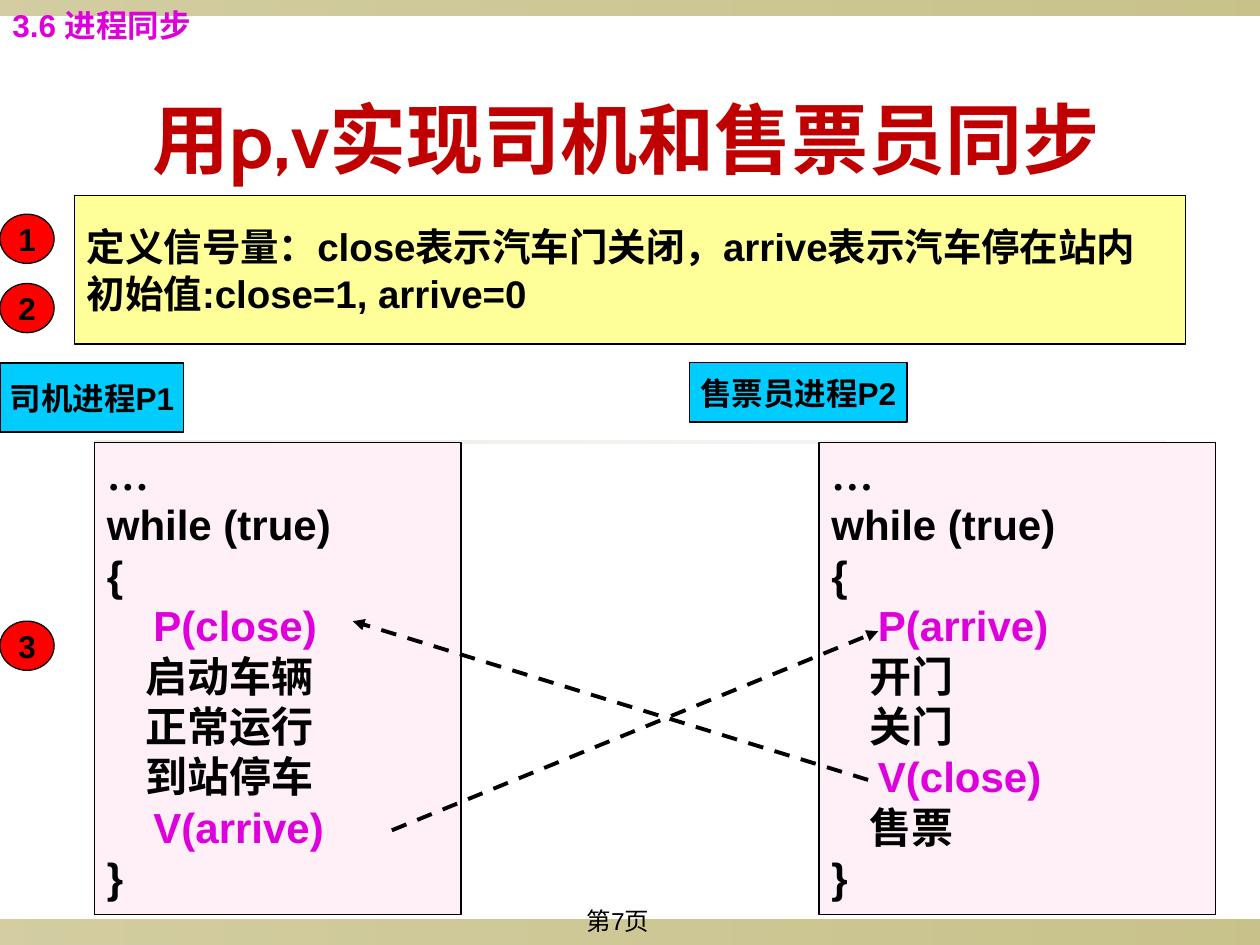
from dataclasses import dataclass

from lxml.etree import SubElement
from pptx import Presentation
from pptx.dml.color import RGBColor
from pptx.enum.dml import MSO_LINE_DASH_STYLE as DASH
from pptx.enum.shapes import MSO_CONNECTOR, MSO_SHAPE as SHAPE
from pptx.enum.text import MSO_ANCHOR as ANCHOR, MSO_AUTO_SIZE as AUTO, PP_ALIGN as ALIGN
from pptx.oxml.ns import qn
from pptx.util import Inches, Pt

COLORS = {
    "black": "000000", "title": "C00000", "magenta": "DD00DD", "code": "FFEFF7",
    "process": "00CCFF", "note": "FFFF99", "step": "FF0000",
    "band": "918415", "rule": "DCD9CC",
}
INDENT = "    "


@dataclass
class Band:
    top: float
    height: float
    left: float = 0
    width: float = 10
    color: str = "band"
    opacity: tuple[int, int] = (40, 50)


@dataclass
class Label:
    text: str
    box: tuple[float, float, float, float]
    fill: str | None = None
    size: int = 18
    color: str = "black"
    bold: bool = True
    align: ALIGN = ALIGN.CENTER
    kind: SHAPE = SHAPE.RECTANGLE
    wrap: bool = False


@dataclass
class Process:
    left: float
    width: float
    steps: list[str]


@dataclass
class Signal:
    """Dashed arrow from a V operation to the P operation it wakes."""
    start: tuple[float, float]
    end: tuple[float, float]


BANDS = [
    Band(7.3, 0.2),
    Band(0, 0.12),
    Band(3.5, 0.02, 0.75, 8.5, "rule", (50, 20)),
]
PROCESSES = [
    Process(0.75, 2.91, ["P(close)", "启动车辆", "正常运行", "到站停车", "V(arrive)"]),
    Process(6.5, 3.15, ["P(arrive)", "开门", "关门", "V(close)", "售票"]),
]
LABELS = [
    Label("第7页", (3.74, 7.14, 2.33, 0.36), size=14, bold=False, wrap=True),
    Label("司机进程P1", (0, 2.88, 1.46, 0.55), "process"),
    Label("售票员进程P2", (5.47, 2.88, 1.73, 0.47), "process"),
    Label("3.6 进程同步", (0, 0, 1.85, 0.4), color="magenta", align=ALIGN.LEFT, wrap=True),
    Label("定义信号量：close表示汽车门关闭，arrive表示汽车停在站内\n初始值:close=1, arrive=0",
          (0.59, 1.55, 8.82, 1.18), "note", 22, align=ALIGN.LEFT),
    *(Label(str(n), (0, top, 0.43, 0.39), "step", kind=SHAPE.OVAL)
      for n, top in enumerate((1.7, 2.25, 4.93), start=1)),
]
SIGNALS = [Signal((6.89, 6.19), (2.8, 4.93)), Signal((3.11, 6.59), (6.97, 5.01))]


def rgb(name: str) -> RGBColor:
    return RGBColor.from_string(COLORS[name])


def add_run(p, text: str, size: int, color: str = "black", font: str = "Arial",
            bold: bool = True) -> None:
    r = p.add_run()
    r.text = text
    r.font.name, r.font.size, r.font.bold = font, Pt(size), bold
    r.font.color.rgb = rgb(color)


def add_filled(s, kind: SHAPE, box: tuple, fill: str):
    sp = s.shapes.add_shape(kind, *map(Inches, box))
    sp.shadow.inherit = False
    sp.fill.solid()
    sp.fill.fore_color.rgb = rgb(fill)
    sp.line.color.rgb = rgb("black")
    sp.line.width = Pt(0.75)
    return sp


def add_band(s, band: Band) -> None:
    box = (band.left, band.top, band.width, band.height)
    sp = add_filled(s, SHAPE.RECTANGLE, box, band.color)
    sp.line.fill.background()
    sp.fill.gradient()
    sp.fill.gradient_angle = 0
    for stop in sp.fill.gradient_stops:
        stop.color.rgb = rgb(band.color)
    for clr, opacity in zip(sp.fill._xPr.iter(qn("a:srgbClr")), band.opacity):
        SubElement(clr, qn("a:alpha"), val=str(opacity * 1000))


def add_label(s, label: Label) -> None:
    if label.fill:
        sp = add_filled(s, label.kind, label.box, label.fill)
    else:
        sp = s.shapes.add_textbox(*map(Inches, label.box))
    tf = sp.text_frame
    tf.word_wrap = label.wrap
    tf.auto_size = AUTO.NONE
    tf.vertical_anchor = ANCHOR.MIDDLE if label.fill else ANCHOR.TOP
    for i, line in enumerate(label.text.split("\n")):
        p = tf.add_paragraph() if i else tf.paragraphs[0]
        p.alignment = label.align
        add_run(p, line, label.size, label.color, bold=label.bold)


def add_process(s, process: Process) -> None:
    sp = add_filled(s, SHAPE.RECTANGLE, (process.left, 3.51, process.width, 3.75), "code")
    tf = sp.text_frame
    tf.word_wrap = True
    tf.vertical_anchor = ANCHOR.TOP
    p = tf.paragraphs[0]
    p.alignment = ALIGN.LEFT
    add_run(p, "…", 24, font="Times New Roman")
    body = [INDENT + step for step in process.steps]
    for line in ["while (true)", "{", *body, "}"]:
        p = tf.add_paragraph()
        p.alignment = ALIGN.LEFT
        is_semaphore = line.strip().startswith(("P(", "V("))
        add_run(p, line, 24, "magenta" if is_semaphore else "black")


def add_signal(s, signal: Signal) -> None:
    line = s.shapes.add_connector(
        MSO_CONNECTOR.STRAIGHT, *map(Inches, signal.start + signal.end))
    line.line.color.rgb = rgb("black")
    line.line.width = Pt(2.25)
    line.line.dash_style = DASH.DASH
    SubElement(line.line._get_or_add_ln(), qn("a:tailEnd"), type="triangle")
    SubElement(line._element.spPr, qn("a:effectLst"))


def set_title(s, text: str) -> None:
    title = s.shapes.title
    title.left, title.top, title.width, title.height = map(Inches, (0.47, 0.47, 9, 1.25))
    tf = title.text_frame
    tf.word_wrap = True
    tf.vertical_anchor = ANCHOR.MIDDLE
    p = tf.paragraphs[0]
    p.alignment = ALIGN.CENTER
    add_run(p, text, 44, "title", "Cabin")


def main() -> None:
    prs = Presentation()
    prs.slide_width, prs.slide_height = Inches(10), Inches(7.5)
    s = prs.slides.add_slide(prs.slide_layouts[5])
    set_title(s, "用p,v实现司机和售票员同步")
    for band in BANDS:
        add_band(s, band)
    for process in PROCESSES:
        add_process(s, process)
    for label in LABELS:
        add_label(s, label)
    for signal in SIGNALS:
        add_signal(s, signal)
    prs.save("out.pptx")


if __name__ == "__main__":
    main()
